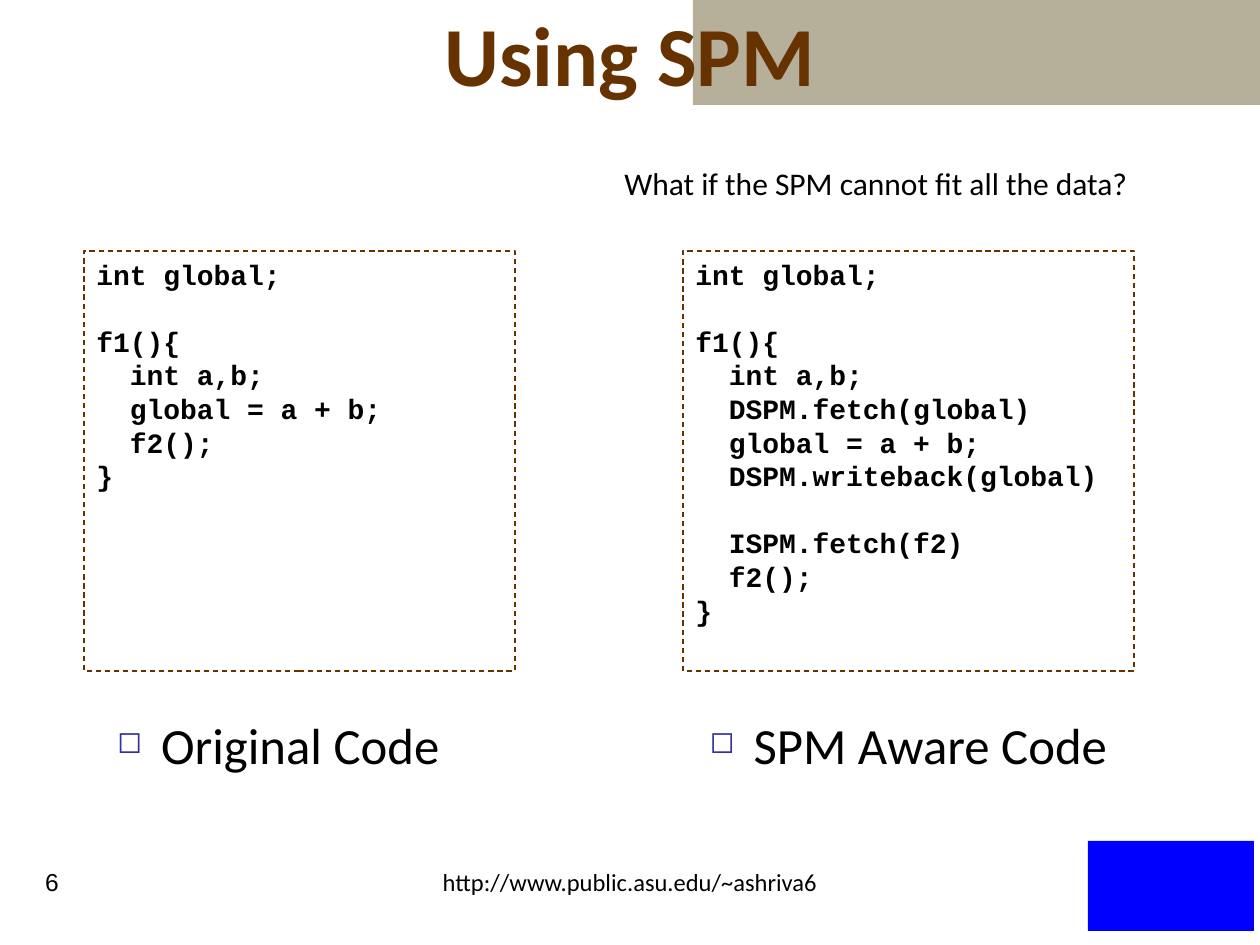
from lxml.etree import SubElement
from pptx import Presentation
from pptx.dml.color import RGBColor
from pptx.enum.dml import MSO_LINE
from pptx.enum.shapes import MSO_SHAPE
from pptx.enum.text import MSO_ANCHOR, PP_ALIGN
from pptx.oxml.ns import qn
from pptx.util import Pt

SCALE = 914400 / 126
COLORS = {"brown": "663300", "sand": "B6AF9A", "black": "000000",
          "blue": "0000FF", "indigo": "333399"}

BASE = """int global;

f1(){
  int a,b;
  global = a + b;
  f2();
}"""
AWARE = """int global;

f1(){
  int a,b;
  DSPM.fetch(global)
  global = a + b;
  DSPM.writeback(global)

  ISPM.fetch(f2)
  f2();
}"""


def emu(*box):
    """Turn px lengths into EMU."""
    return [round(n * SCALE) for n in box]


def color(name):
    """Look up a named colour."""
    return RGBColor.from_string(COLORS[name])


def style(para, size, font="Calibri", tint="black", bold=False, align=PP_ALIGN.LEFT):
    """Format one paragraph."""
    para.alignment = align
    para.font.size = Pt(size)
    para.font.name = font
    para.font.bold = bold
    para.font.color.rgb = color(tint)


def add_text(slide, box, text, size, **look):
    """Place a wrapped line of text and return its paragraph."""
    frame = slide.shapes.add_textbox(*emu(*box)).text_frame
    frame.word_wrap = True
    para = frame.paragraphs[0]
    para.text = text
    style(para, size, **look)
    return para


def add_block(slide, box, fill=None):
    """Place a plain rectangle."""
    shape = slide.shapes.add_shape(MSO_SHAPE.RECTANGLE, *emu(*box))
    shape.shadow.inherit = False
    shape.line.fill.background()
    if fill:
        shape.fill.solid()
        shape.fill.fore_color.rgb = color(fill)
    else:
        shape.fill.background()
    return shape


def add_head(slide, box):
    """Place the title over the sand band."""
    left, top, width, height = box
    band = add_block(slide, (left + 693, top, width - 693, height), "sand")
    slide.shapes.element.insert(2, band.element)
    title = slide.shapes.title
    title.left, title.top, title.width, title.height = emu(
        left + 84, top, width - 168, height)
    frame = title.text_frame
    frame.text = "Using SPM"
    frame.vertical_anchor = MSO_ANCHOR.MIDDLE
    style(frame.paragraphs[0], 48, tint="brown", bold=True, align=PP_ALIGN.CENTER)


def add_code(slide, box, code):
    """Place a dashed box of code."""
    shape = add_block(slide, box)
    shape.line.color.rgb = color("brown")
    shape.line.width = Pt(0.75)
    shape.line.dash_style = MSO_LINE.DASH
    frame = shape.text_frame
    frame.word_wrap = True
    frame.vertical_anchor = MSO_ANCHOR.TOP
    frame.text = code
    for para in frame.paragraphs:
        style(para, 16, font="Courier New", bold=True)


def add_label(slide, box, text):
    """Place a centred caption with a square bullet."""
    para = add_text(slide, box, text, 29, align=PP_ALIGN.CENTER)
    props = para._p.get_or_add_pPr()
    indent = emu(44)[0]
    props.set("marL", str(indent))
    props.set("indent", str(-indent))
    marks = [SubElement(props, qn(tag)) for tag in ("a:buClr", "a:buSzPct", "a:buChar")]
    SubElement(marks[0], qn("a:srgbClr")).set("val", COLORS["indigo"])
    marks[1].set("val", "60000")
    marks[2].set("char", "◻")
    for place, mark in enumerate(marks):
        props.insert(place, mark)


def add_foot(slide, box):
    """Place the page number, address and corner mark."""
    left, top, width, height = box
    add_text(slide, (left + 10, top, 84, height), "6", 14,
             font="Arial", align=PP_ALIGN.CENTER)
    add_text(slide, (left + 336, top, width - 672, height),
             "http://www.public.asu.edu/~ashriva6", 14, align=PP_ALIGN.CENTER)
    add_block(slide, (left + width - 172, top - 20, 166, 90), "blue")


def main():
    """Build and save the slide."""
    deck = Presentation()
    deck.slide_width, deck.slide_height = emu(1260, 945)
    slide = deck.slides.add_slide(deck.slide_layouts[5])
    add_head(slide, (0, 0, 1260, 105))
    add_text(slide, (612, 158, 596, 50),
             "What if the SPM cannot fit all the data?", 18)
    add_code(slide, (84, 251, 431, 420), BASE)
    add_code(slide, (683, 251, 451, 420), AWARE)
    for left, text in ((0, "Original Code"), (630, "SPM Aware Code")):
        add_label(slide, (left, 708, 557, 88), text)
    add_foot(slide, (0, 861, 1260, 63))
    deck.save("out.pptx")


if __name__ == "__main__":
    main()
